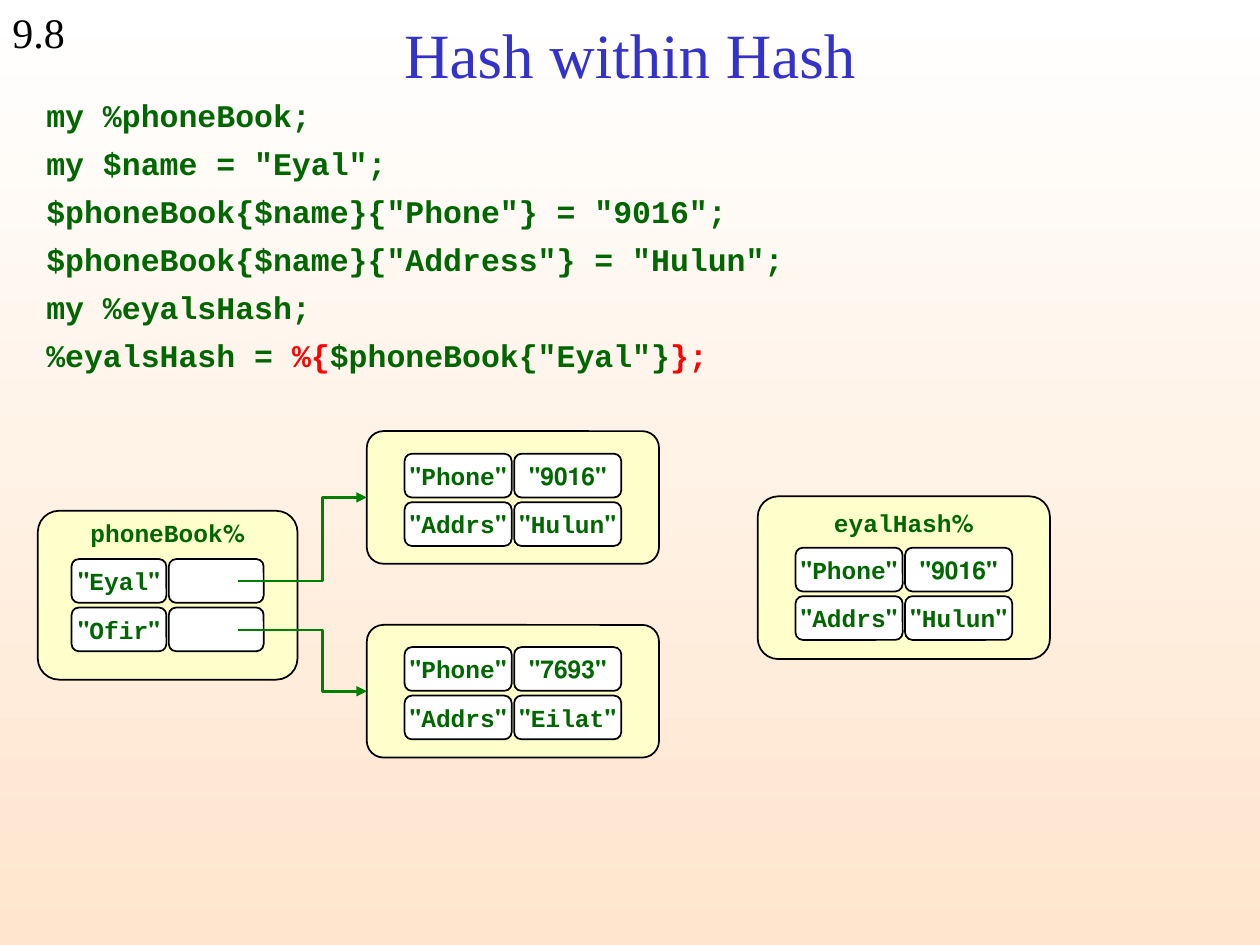
from lxml.etree import SubElement
from pptx import Presentation
from pptx.dml.color import RGBColor
from pptx.enum.shapes import MSO_CONNECTOR as Connector, MSO_SHAPE as Shape
from pptx.enum.text import MSO_ANCHOR as Anchor, PP_ALIGN as Align
from pptx.oxml.ns import qn
from pptx.util import Pt

SERIF, MONO = "Times New Roman", "Courier New"
GREEN, RED, BLUE, BLACK = "006600", "FF0101", "3333CC", "000000"
WHITE, PEACH, CREAM, ARROW = "FFFFFF", "FFE5CD", "FFFFCC", "008000"

NUMBER = "9.8"
TITLE = "Hash within Hash"
CODE = [
    [("my %phoneBook;", GREEN)],
    [('my $name = "Eyal";', GREEN)],
    [('$phoneBook{$name}{"Phone"} = "9016";', GREEN)],
    [('$phoneBook{$name}{"Address"} = "Hulun";', GREEN)],
    [("my %eyalsHash;", GREEN)],
    [("%eyalsHash = ", GREEN), ("%{", RED), ('$phoneBook{"Eyal"}', GREEN), ("};", RED)],
]
EYAL = [('"Phone"', '"9016"'), ('"Addrs"', '"Hulun"')]
OFIR = [('"Phone"', '"7693"'), ('"Addrs"', '"Eilat"')]
HASHES = [
    dict(area=(433, 283.6, 167, 93), cell=61.2, inset=29.4, rows=EYAL,
         label="%eyalHash", label_top=286.6),
    dict(area=(21.6, 291.9, 148.4, 96.5), cell=54.2, inset=27.6,
         rows=[('"Eyal"', ""), ('"Ofir"', "")],
         label="%phoneBook", label_top=292.4),
    dict(area=(209.6, 246.4, 167, 75.8), cell=61.2, inset=12.9, rows=EYAL),
    dict(area=(209.6, 357.1, 167, 75.8), cell=61.2, inset=12.7, rows=OFIR),
]
LINKS = [((136.2, 332.1), (209.6, 284.3)), ((136.2, 360), (209.6, 395))]
CELL_HEIGHT, COLUMN_GAP, ROW_GAP = 25, 1.4, 2.7
LINK_BEND = 0.655


def color(value):
    return RGBColor.from_string(value)


def points(*values):
    return [Pt(value) for value in values]


def add_span(para, text, size, font, hue, bold=False):
    span = para.add_run()
    span.text = text
    span.font.size = Pt(size)
    span.font.name = font
    span.font.bold = bold
    span.font.color.rgb = color(hue)


def add_box(page, *area):
    box = page.shapes.add_textbox(*points(*area))
    box.text_frame.word_wrap = True
    return box


def add_entry(frame, text):
    para = frame.paragraphs[0]
    para.alignment = Align.CENTER
    para._p.get_or_add_pPr().set("rtl", "1")
    add_span(para, text, 14, MONO, GREEN, True)


def add_rounded(page, area, fill, corner):
    shape = page.shapes.add_shape(Shape.ROUNDED_RECTANGLE, *points(*area))
    shape.adjustments[0] = corner
    shape.shadow.inherit = False
    shape.fill.solid()
    shape.fill.fore_color.rgb = color(fill)
    shape.line.color.rgb = color(BLACK)
    shape.line.width = Pt(1)
    return shape


def add_hash(page, area, cell, inset, rows, label="", label_top=0):
    left, top, width, height = area
    add_rounded(page, area, CREAM, 0.126)
    if label:
        add_entry(add_box(page, left, label_top, width, 24.5).text_frame, label)
    start = left + (width - 2 * cell - COLUMN_GAP) / 2
    for row, texts in enumerate(rows):
        for column, text in enumerate(texts):
            x = start + column * (cell + COLUMN_GAP)
            y = top + inset + row * (CELL_HEIGHT + ROW_GAP)
            shape = add_rounded(page, (x, y, cell, CELL_HEIGHT), WHITE, 0.167)
            if text:
                frame = shape.text_frame
                frame.word_wrap = False
                frame.vertical_anchor = Anchor.MIDDLE
                add_entry(frame, text)


def add_link(page, start, end):
    link = page.shapes.add_connector(Connector.ELBOW, *points(*start, *end))
    link.line.color.rgb = color(ARROW)
    link.line.width = Pt(1.5)
    properties = link._element.spPr
    guides = properties.find(qn("a:prstGeom")).get_or_add_avLst()
    SubElement(guides, qn("a:gd"), name="adj1", fmla=f"val {round(LINK_BEND * 100000)}")
    SubElement(link.line._get_or_add_ln(), qn("a:tailEnd"), type="triangle")
    SubElement(properties, qn("a:effectLst"))


def main():
    deck = Presentation()
    deck.slide_width, deck.slide_height = points(720, 540)
    page = deck.slides.add_slide(deck.slide_layouts[6])

    backdrop = page.background.fill
    backdrop.gradient()
    backdrop.gradient_angle = 270
    for stop, hue in zip(backdrop.gradient_stops, (WHITE, PEACH)):
        stop.color.rgb = color(hue)

    number = add_box(page, 0, 0, 82, 36).text_frame
    add_span(number.paragraphs[0], NUMBER, 24, SERIF, BLACK)

    code = add_box(page, 19.4, 45.4, 698, 295).text_frame
    for index, parts in enumerate(CODE):
        para = code.add_paragraph() if index else code.paragraphs[0]
        para.line_spacing = 1.27
        for text, hue in parts:
            add_span(para, text, 18, MONO, hue, True)

    title = add_box(page, 54, 6.5, 612, 48).text_frame
    title.vertical_anchor = Anchor.MIDDLE
    title.paragraphs[0].alignment = Align.CENTER
    add_span(title.paragraphs[0], TITLE, 36, SERIF, BLUE)

    for table in HASHES:
        add_hash(page, **table)
    for start, end in LINKS:
        add_link(page, start, end)

    deck.save("out.pptx")


if __name__ == "__main__":
    main()
